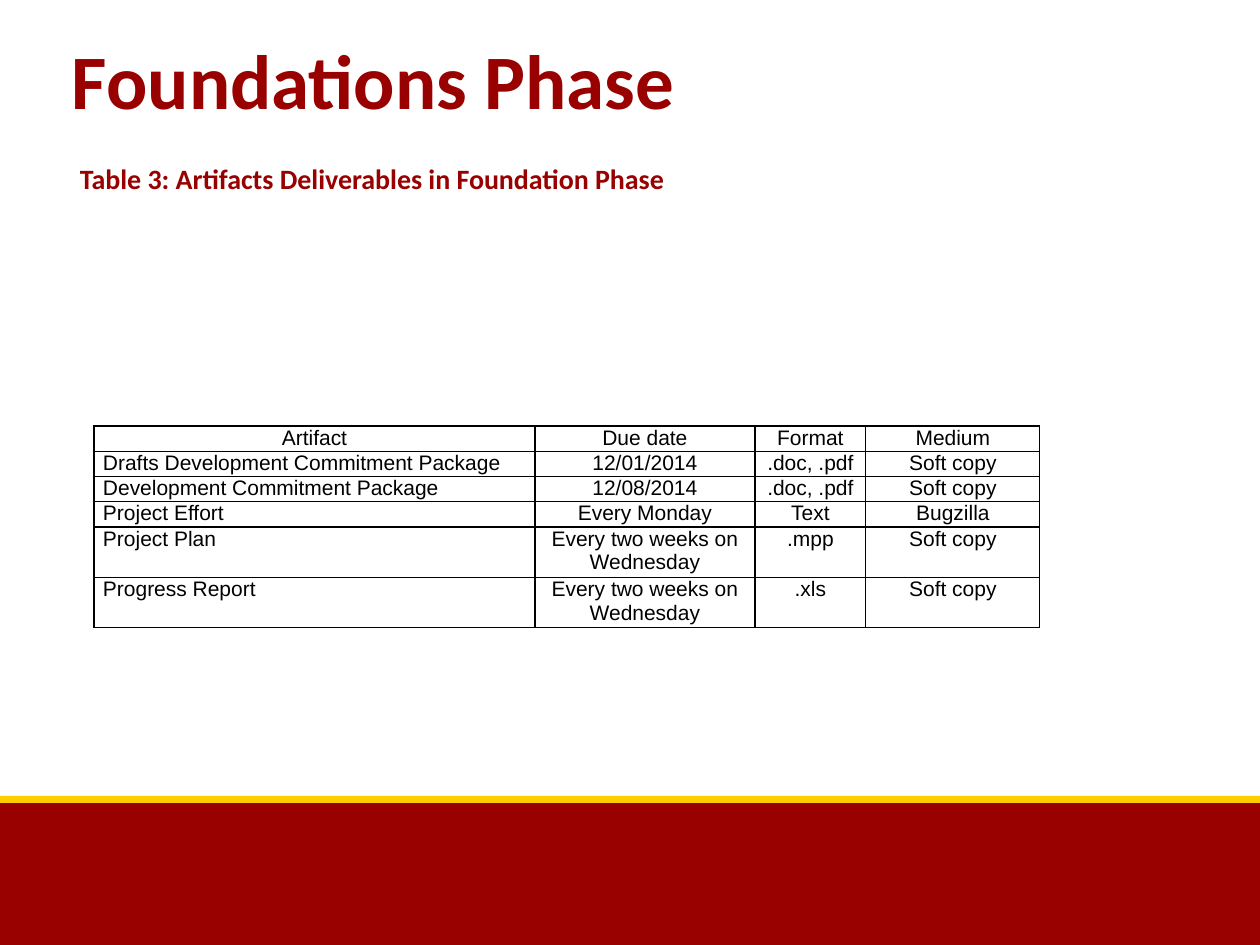
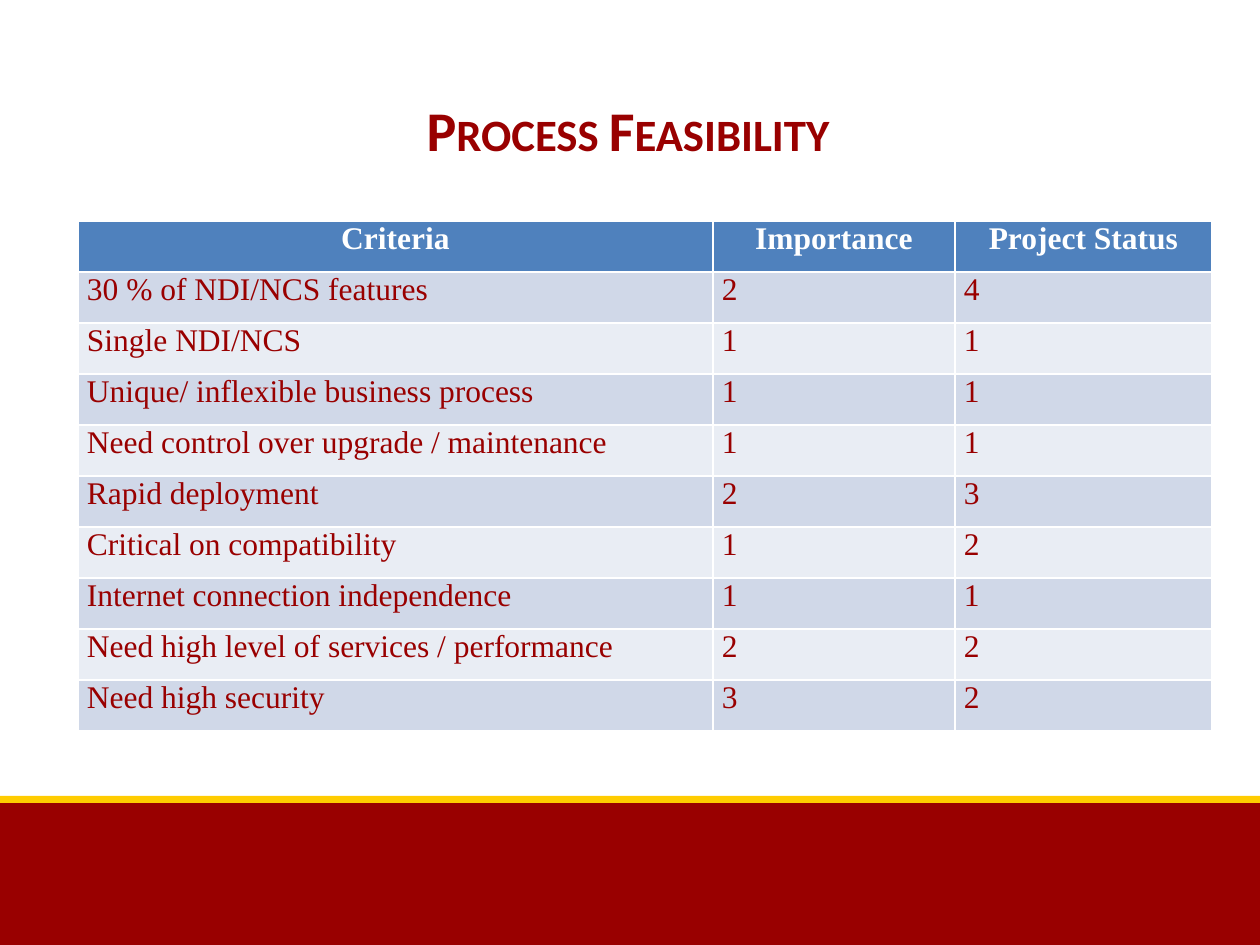
"""Builds two project slides: foundation deliverables and process feasibility."""
from dataclasses import dataclass

from lxml import etree
from pptx import Presentation
from pptx import util as u
from pptx.dml.color import RGBColor
from pptx.enum import shapes, text
from pptx.oxml.ns import qn


@dataclass(frozen=True)
class Theme:
    """Colours, fonts and type sizes shared by the slides."""
    red: str = "990000"
    gold: str = "FFCC00"
    blue: str = "4F81BD"
    bands: tuple = ("D0D8E8", "E9EDF4")
    black: str = "000000"
    white: str = "FFFFFF"
    heading: str = "Calibri"
    plain: str = "Arial"
    serif: str = "Times New Roman"
    title: int = 44
    caps_title: int = 32
    caption: int = 16
    small: int = 12
    body: int = 18


T = Theme()
LEFT, CENTER = text.PP_ALIGN.LEFT, text.PP_ALIGN.CENTER
TITLE_BOX = (59, 57, 1138, 144)
FOOTER_BOX = (0, 796, 1260, 149)

ARTIFACTS = [
    ("Artifact", "Due date", "Format", "Medium"),
    ("Drafts Development Commitment Package", "12/01/2014", ".doc, .pdf", "Soft copy"),
    ("Development Commitment Package", "12/08/2014", ".doc, .pdf", "Soft copy"),
    ("Project Effort", "Every Monday", "Text", "Bugzilla"),
    ("Project Plan", "Every two weeks on Wednesday", ".mpp", "Soft copy"),
    ("Progress Report", "Every two weeks on Wednesday", ".xls", "Soft copy"),
]
CRITERIA = [
    ("Criteria", "Importance", "Project Status"),
    ("30 % of NDI/NCS features", "2", "4"),
    ("Single NDI/NCS", "1", "1"),
    ("Unique/ inflexible business process", "1", "1"),
    ("Need control over upgrade / maintenance", "1", "1"),
    ("Rapid deployment", "2", "3"),
    ("Critical on compatibility", "1", "2"),
    ("Internet connection independence", "1", "1"),
    ("Need high level of services / performance", "2", "2"),
    ("Need high security", "3", "2"),
]


def px(n):
    """Convert px to EMU."""
    return u.Emu(round(n * 914400 / 126))


def style(p, size, face, color, bold=False, align=LEFT):
    """Set the alignment and font of a paragraph."""
    p.alignment = align
    p.font.size, p.font.name, p.font.bold = u.Pt(size), face, bold
    p.font.color.rgb = RGBColor.from_string(color)


def add_bar(s, box, color):
    """Add a plain rectangle without outline."""
    sp = s.shapes.add_shape(shapes.MSO_SHAPE.RECTANGLE, *map(px, box))
    sp.shadow.inherit = False
    sp.fill.solid()
    sp.fill.fore_color.rgb = RGBColor.from_string(color)
    sp.line.fill.background()


def add_footer(s, box):
    """Add the red band with its gold stripe on top."""
    x, y, w, h = box
    add_bar(s, (x, y + 4, w, h - 4), T.red)
    add_bar(s, (x, y, w, 7), T.gold)


def add_title(s, box, bottom_inset=13):
    """Add the title box and return its text frame."""
    tf = s.shapes.add_textbox(*map(px, box)).text_frame
    tf.word_wrap = True
    tf.vertical_anchor = text.MSO_ANCHOR.MIDDLE
    tf.margin_left = tf.margin_right = tf.margin_top = px(13)
    tf.margin_bottom = px(bottom_inset)
    return tf


def set_borders(cell, color, width):
    """Draw the four borders of a table cell."""
    tc_pr = cell._tc.get_or_add_tcPr()
    for i, side in enumerate(("lnL", "lnR", "lnT", "lnB")):
        ln = etree.Element(qn(f"a:{side}"), w=str(u.Pt(width)))
        fill = etree.SubElement(ln, qn("a:solidFill"))
        etree.SubElement(fill, qn("a:srgbClr"), val=color)
        tc_pr.insert(i, ln)


def add_grid(s, origin, cols, row_h, rows, border, look):
    """Add a table; look(row, col) gives fill, alignment and font of a cell."""
    box = (*origin, sum(cols), row_h * len(rows))
    table = s.shapes.add_table(len(rows), len(cols), *map(px, box)).table
    table.first_row = table.horz_banding = False
    for col, width in zip(table.columns, cols):
        col.width = px(width)
    for i, row in enumerate(rows):
        table.rows[i].height = px(row_h)
        for j, value in enumerate(row):
            cell = table.cell(i, j)
            fill, font = look(i, j)
            cell.margin_left = cell.margin_right = px(9)
            cell.margin_top = cell.margin_bottom = 0
            if fill:
                cell.fill.solid()
                cell.fill.fore_color.rgb = RGBColor.from_string(fill)
            else:
                cell.fill.background()
            set_borders(cell, *border)
            p = cell.text_frame.paragraphs[0]
            p.add_run().text = value
            style(p, **font)


def artifact_look(i, j):
    """Style the deliverables table: names left, the rest centred."""
    align = LEFT if i and j == 0 else CENTER
    return None, dict(size=T.small, face=T.plain, color=T.black, align=align)


def criteria_look(i, j):
    """Style the feasibility table: blue header over banded rows."""
    font = dict(size=T.body, face=T.serif)
    if i == 0:
        return T.blue, dict(font, color=T.white, bold=True, align=CENTER)
    return T.bands[(i - 1) % 2], dict(font, color=T.red)


def build_foundations(s):
    """Build the deliverables slide."""
    add_footer(s, FOOTER_BOX)
    tf = add_title(s, TITLE_BOX, bottom_inset=43)
    p = tf.paragraphs[0]
    p.add_run().text = "Foundations Phase"
    style(p, T.title, T.heading, T.red, bold=True)
    p = tf.add_paragraph()
    p.add_run().text = "Table 3: Artifacts Deliverables in Foundation Phase"
    p.space_before = u.Pt(21)
    p._p.get_or_add_pPr().set("marL", str(px(8)))
    style(p, T.caption, T.heading, T.red, bold=True)
    add_grid(s, (94, 426), (441, 220, 111, 174), 23, ARTIFACTS,
             (T.black, 0.75), artifact_look)


def build_feasibility(s):
    """Build the process feasibility slide."""
    add_footer(s, FOOTER_BOX)
    p = add_title(s, TITLE_BOX).paragraphs[0]
    r = p.add_run()
    r.text = "Process Feasibility"
    r._r.get_or_add_rPr().set("cap", "small")
    style(p, T.caps_title, T.heading, T.red, bold=True, align=CENTER)
    add_grid(s, (78, 221), (635, 242, 257), 51, CRITERIA,
             (T.white, 1), criteria_look)


def main():
    """Build and save the deck."""
    prs = Presentation()
    prs.slide_width, prs.slide_height = px(1260), px(945)
    for build in (build_foundations, build_feasibility):
        build(prs.slides.add_slide(prs.slide_layouts[6]))
    prs.save("out.pptx")


if __name__ == "__main__":
    main()
